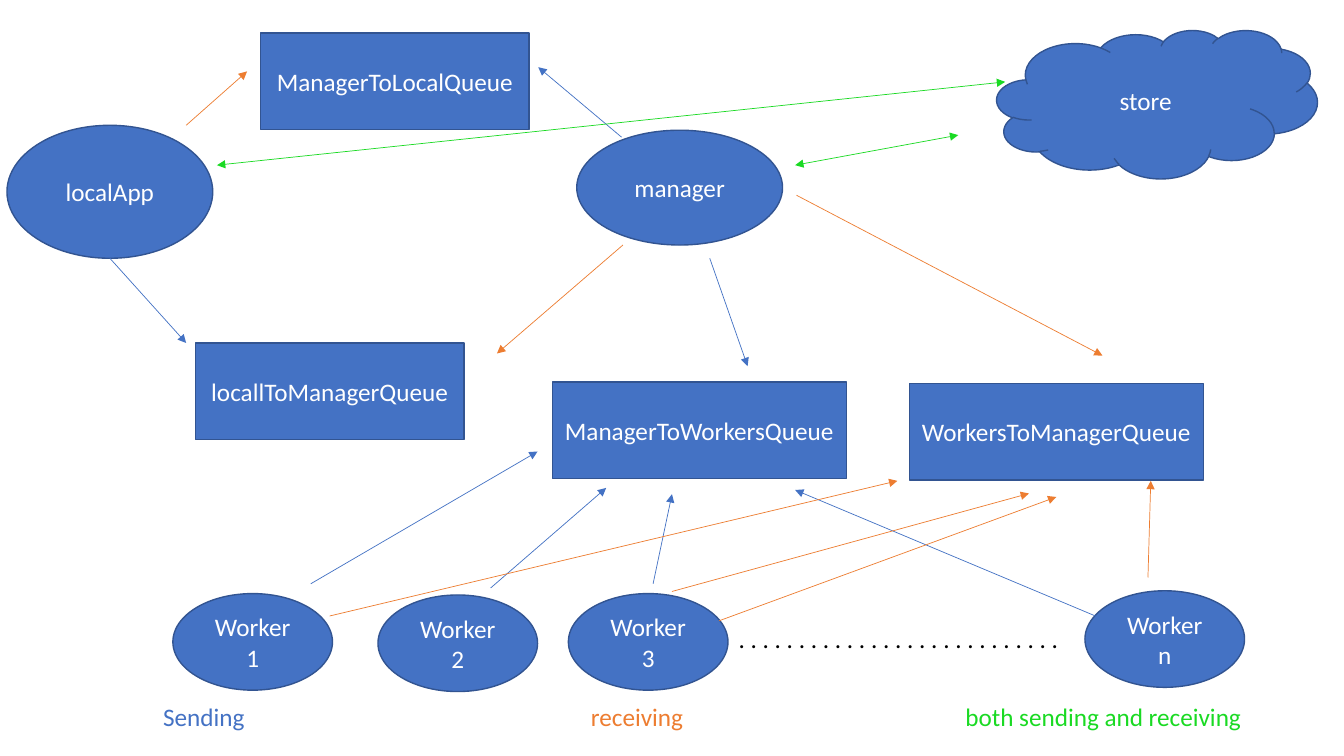
"""Builds the message queue diagram linking the local app, manager and workers."""
from lxml import etree
from pptx import Presentation
from pptx.dml.color import RGBColor
from pptx.enum.shapes import MSO_CONNECTOR, MSO_SHAPE
from pptx.enum.text import MSO_ANCHOR, PP_ALIGN
from pptx.oxml.ns import qn
from pptx.util import Pt

OVAL, BOX, CLOUD = MSO_SHAPE.OVAL, MSO_SHAPE.RECTANGLE, MSO_SHAPE.CLOUD
STRAIGHT = MSO_CONNECTOR.STRAIGHT
MIDDLE, CENTER, LEFT = MSO_ANCHOR.MIDDLE, PP_ALIGN.CENTER, PP_ALIGN.LEFT
BLANK_LAYOUT = 6
BLUE, DARK_BLUE, ORANGE, GREEN = "4472C4", "325491", "ED7D31", "1ADA23"
WHITE, BLACK = "FFFFFF", "000000"
FONT = {"name": "Calibri", "size": Pt(18)}
BOX_HEIGHT, WORKER_SIZE = 69, (114, 69)

NODES = [
    (OVAL, "localApp", 5, 89.5, 147, 95),
    (OVAL, "manager", 412, 93, 147, 82),
    (CLOUD, "store", 712, 21.5, 229, 106),
]
QUEUES = [
    ("locallToManagerQueue", 139.5, 245, 192),
    ("ManagerToLocalQueue", 186, 23.5, 192),
    ("ManagerToWorkersQueue", 394.5, 273, 210),
    ("WorkersToManagerQueue", 649.5, 274, 210),
]
WORKERS = [("1", 123.5, 424), ("2", 270, 425), ("3", 406, 424), ("n", 775, 422)]
SENDING = [
    (78.5, 184.5, 133, 245), (444, 98, 384.5, 48), (507, 184.5, 534, 261.5),
    (222, 417, 384, 322.5), (350.5, 420, 433, 348.5), (466.5, 417, 480, 353),
    (782.5, 440, 568, 350),
]
RECEIVING = [
    (445, 175, 355, 252.5), (133, 89.5, 176.5, 51), (569, 139.5, 787.5, 254),
    (820, 412.5, 822, 343.5), (480, 422.5, 735, 352.5), (513.5, 443.5, 754.5, 355),
    (235.5, 440, 641, 343.5),
]
BOTH = [(568, 118, 684.5, 96.5), (155, 118, 718, 58.5)]
ARROWS = [
    (BLUE, ("tailEnd",), SENDING),
    (ORANGE, ("tailEnd",), RECEIVING),
    (GREEN, ("headEnd", "tailEnd"), BOTH),
]
LABELS = [
    (" ".join("." * 27), BLACK, 520.5, 442, 255),
    ("Sending", BLUE, 109.5, 497.5, 80),
    ("receiving", ORANGE, 415, 497.5, 90),
    ("both sending and receiving", GREEN, 682.5, 497.5, 220),
]


def rgb(value):
    """Return a colour from a hex string."""
    return RGBColor.from_string(value)


def write(shape, text, colour, alignment):
    """Put one formatted paragraph into a shape."""
    paragraph = shape.text_frame.paragraphs[0]
    paragraph.alignment = alignment
    run = paragraph.add_run()
    run.text = text
    for name, value in FONT.items():
        setattr(run.font, name, value)
    run.font.color.rgb = rgb(colour)


def add_node(slide, kind, text, *frame):
    """Add a filled shape with centred white text."""
    shape = slide.shapes.add_shape(kind, *map(Pt, frame))
    shape.shadow.inherit = False
    shape.fill.solid()
    shape.fill.fore_color.rgb = rgb(BLUE)
    shape.line.color.rgb = rgb(DARK_BLUE)
    shape.line.width = Pt(1)
    shape.text_frame.word_wrap = True
    shape.text_frame.vertical_anchor = MIDDLE
    write(shape, text, WHITE, CENTER)


def add_arrow(slide, colour, ends, points):
    """Add a thin line with triangles at the named ends."""
    arrow = slide.shapes.add_connector(STRAIGHT, *map(Pt, points))
    arrow.line.color.rgb = rgb(colour)
    arrow.line.width = Pt(0.5)
    line = arrow.line._get_or_add_ln()
    for end in ends:
        etree.SubElement(line, qn(f"a:{end}"), type="triangle")
    etree.SubElement(line.getparent(), qn("a:effectLst"))


def add_label(slide, text, colour, left, top, width):
    """Add a single line of coloured text."""
    box = slide.shapes.add_textbox(*map(Pt, (left, top, width, 29)))
    box.text_frame.word_wrap = False
    write(box, text, colour, LEFT)


presentation = Presentation()
presentation.slide_width, presentation.slide_height = Pt(960), Pt(540)
slide = presentation.slides.add_slide(presentation.slide_layouts[BLANK_LAYOUT])

for node in NODES:
    add_node(slide, *node)
for name, left, top, width in QUEUES:
    add_node(slide, BOX, name, left, top, width, BOX_HEIGHT)
for number, left, top in WORKERS:
    add_node(slide, OVAL, f"Worker {number}", left, top, *WORKER_SIZE)
for colour, ends, routes in ARROWS:
    for points in routes:
        add_arrow(slide, colour, ends, points)
for label in LABELS:
    add_label(slide, *label)

presentation.save("out.pptx")
